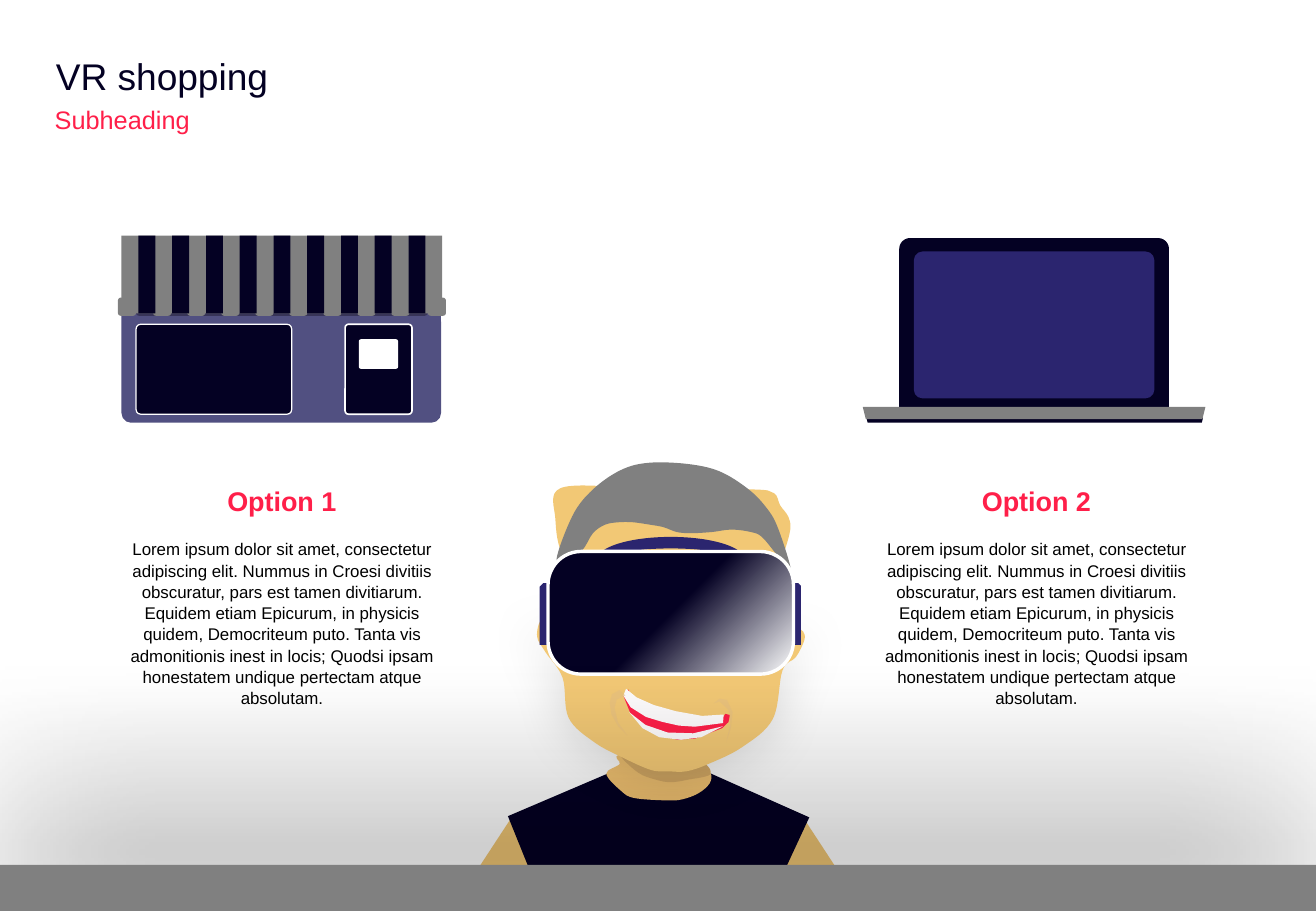
from lxml.etree import SubElement
from pptx import Presentation
from pptx.dml.color import RGBColor
from pptx.enum.shapes import MSO_SHAPE
from pptx.enum.text import MSO_ANCHOR, PP_ALIGN
from pptx.oxml.ns import qn
from pptx.util import Inches, Pt

NAVY = RGBColor(0x04, 0x01, 0x23)
INDIGO = RGBColor(0x2B, 0x25, 0x6F)
WALL = RGBColor(0x51, 0x50, 0x81)
SHADE = RGBColor(0x38, 0x35, 0x58)
GREY = RGBColor(0x80, 0x80, 0x80)
RED = RGBColor(0xFF, 0x1F, 0x49)
WHITE = RGBColor(0xFF, 0xFF, 0xFF)
BLACK = RGBColor(0, 0, 0)
TEETH = RGBColor(0xFE, 0xFC, 0xFD)
SKIN = RGBColor(0xF2, 0xC8, 0x75)
ARM = RGBColor(0xF0, 0xC6, 0x74)
NECK = RGBColor(0xF6, 0xC6, 0x74)
CHIN = RGBColor(0xDA, 0xAE, 0x68)
CREASE = RGBColor(0xE7, 0xC0, 0x82)

RECT, ROUND = MSO_SHAPE.RECTANGLE, MSO_SHAPE.ROUNDED_RECTANGLE
TITLE = {"name": "Arial", "size": Pt(22)}
SUB = {"name": "Arial", "size": Pt(15)}
HEAD = {"name": "Arial", "size": Pt(16), "bold": True}
BODY = {"name": "Arial", "size": Pt(10)}
LOREM = ("Lorem ipsum dolor sit amet, consectetur adipiscing elit. Nummus in Croesi "
         "divitiis obscuratur, pars est tamen divitiarum. Equidem etiam Epicurum, in "
         "physicis quidem, Democriteum puto. Tanta vis admonitionis inest in locis; "
         "Quodsi ipsam honestatem undique pertectam atque absolutam.")

# Outlines as anchor points in inches
SHIRT = [(4.18, 6.72), (4.41, 7.29), (6.4, 7.29), (6.66, 6.73), (5.83, 6.36), (5, 6.37)]
THROAT = [(5.12, 6.21), (5.1, 6.29), (4.99, 6.37), (5.11, 6.51), (5.22, 6.57), (5.49, 6.59),
          (5.62, 6.58), (5.75, 6.53), (5.84, 6.45), (5.85, 6.37), (5.78, 6.33), (5.76, 6.19)]
UNDER = [(5.11, 6.21), (5.25, 6.36), (5.4, 6.42), (5.52, 6.44), (5.66, 6.42), (5.85, 6.37),
         (5.73, 6.25), (5.38, 6.26)]
SKULL = [(6.46, 5.02), (6.5, 4.77), (6.42, 4.44), (6.08, 4.15), (5.61, 4.18), (5.2, 4.01),
         (4.92, 4.12), (4.79, 4.21), (4.65, 4.42), (4.57, 4.66), (4.58, 4.78), (4.65, 4.88),
         (4.7, 4.98), (4.86, 5.01), (5.38, 5), (5.92, 5.03)]
FACE = [(4.46, 5.11), (4.42, 5.24), (4.49, 5.37), (4.63, 5.58), (4.68, 5.91), (4.89, 6.11),
        (5.13, 6.24), (5.36, 6.34), (5.5, 6.35), (5.65, 6.35), (5.83, 6.29), (6.11, 6.15),
        (6.36, 5.92), (6.44, 5.52), (6.55, 5.41), (6.62, 5.27), (6.61, 5.2), (6.56, 5.19),
        (6.49, 5.32), (6.14, 5.41), (4.8, 5.4), (4.57, 5.29)]
HAIR = [(4.78, 4.54), (4.88, 4.39), (4.98, 4.32), (5.09, 4.3), (5.21, 4.3), (5.35, 4.32),
        (5.46, 4.34), (5.57, 4.38), (5.69, 4.39), (5.86, 4.38), (6.02, 4.36), (6.18, 4.38),
        (6.27, 4.42), (6.38, 4.55), (6.51, 4.7), (6.4, 4.34), (6.3, 4.17), (6.15, 4.02),
        (5.92, 3.88), (5.66, 3.82), (5.34, 3.81), (5.11, 3.87), (4.88, 4.03), (4.71, 4.25),
        (4.58, 4.63)]
LIPS = [(5.1, 5.82), (5.18, 5.94), (5.3, 6.03), (5.4, 6.07), (5.61, 6.08), (5.75, 6.04),
        (5.95, 5.91), (5.99, 5.85), (5.99, 5.79), (5.95, 5.79), (5.93, 5.85), (5.72, 5.89),
        (5.58, 5.93), (5.35, 5.92), (5.18, 5.87), (5.13, 5.76)]
UPPER = [(5.12, 5.76), (5.22, 5.81), (5.37, 5.84), (5.56, 5.85), (5.78, 5.84), (5.95, 5.79),
         (5.96, 5.86), (5.74, 5.94), (5.61, 5.96), (5.47, 5.96), (5.33, 5.95), (5.19, 5.9),
         (5.11, 5.82)]
LOWER = [(5.16, 5.93), (5.31, 6.01), (5.5, 6.04), (5.71, 6.01), (5.94, 5.91), (5.78, 6.03),
         (5.62, 6.08), (5.44, 6.09), (5.29, 6.04)]
LEFT = [(5.11, 5.72), (5.05, 5.69), (5, 5.74), (5, 5.81), (5.04, 5.9), (5.12, 5.98),
        (5.21, 6.03), (5.11, 5.95), (5.05, 5.84), (5.05, 5.77)]
RIGHT = [(5.95, 5.76), (6.01, 5.75), (6.06, 5.79), (6.05, 5.9), (5.97, 6.01), (5.88, 6.09),
         (5.99, 5.97), (6.03, 5.87), (6, 5.77)]


def paint(shape, fill, turn=0, line=0):
    shape.shadow.inherit = False
    shape.rotation = turn
    shape.fill.solid()
    shape.fill.fore_color.rgb = fill
    if line:
        shape.line.color.rgb = WHITE
        shape.line.width = Pt(line)
    else:
        shape.line.fill.background()
    return shape


def block(shapes, kind, box, fill, adj=(), **look):
    shape = shapes.add_shape(kind, *map(Inches, box))
    for i, value in enumerate(adj):
        shape.adjustments[i] = value
    return paint(shape, fill, **look)


def outline(shapes, points, fill, turn=0):
    spots = [(Inches(x), Inches(y)) for x, y in points]
    pen = shapes.build_freeform(*spots[0])
    pen.add_line_segments(spots[1:])
    return paint(pen.convert_to_shape(), fill, turn)


def bend(shape):
    """Turn the straight sides of an outline into one smooth curve."""
    route = next(shape._element.iter(qn("a:path")))
    spots = [(int(p.get("x")), int(p.get("y"))) for p in route.iter(qn("a:pt"))]
    for side in route.findall(qn("a:lnTo")):
        route.remove(side)
    count = len(spots)
    for i in range(count):
        a, b, c, d = (spots[(i + k) % count] for k in (-1, 0, 1, 2))
        first = [q + (r - p) / 6 for p, q, r in zip(a, b, c)]
        second = [q - (r - p) / 6 for p, q, r in zip(b, c, d)]
        curve = SubElement(route, qn("a:cubicBezTo"))
        for x, y in (first, second, c):
            SubElement(curve, qn("a:pt"), x=str(round(x)), y=str(round(y)))
    route.append(route.find(qn("a:close")))
    return shape


def fade(color, part):
    SubElement(color, qn("a:alpha"), val=str(part * 1000))


def shadow(shape, part, blur, dist, angle):
    effects = shape._element.spPr.find(qn("a:effectLst"))
    outer = SubElement(effects, qn("a:outerShdw"), blurRad=str(Pt(blur)), dist=str(Pt(dist)),
                       dir=str(angle * 60000), rotWithShape="0")
    fade(SubElement(outer, qn("a:srgbClr"), val=str(BLACK)), part)


def shine(shape):
    shape.fill.gradient()
    for stop, color, place in zip(shape.fill.gradient_stops, (WHITE, NAVY), (0, 0.5)):
        stop.color.rgb, stop.position = color, place
    grad = shape._element.spPr.find(qn("a:gradFill"))
    grad.remove(grad.find(qn("a:lin")))
    way = SubElement(grad, qn("a:path"), {"path": "circle"})
    SubElement(way, qn("a:fillToRect"), l="100000", t="100000")
    SubElement(grad, qn("a:tileRect"), r="-100000", b="-100000")


def write(shape, text, font, color, align=PP_ALIGN.LEFT, space=1.0, inset=None):
    frame = shape.text_frame
    frame.word_wrap, frame.vertical_anchor = True, MSO_ANCHOR.TOP
    if inset is not None:
        for side in ("left", "top", "right", "bottom"):
            setattr(frame, "margin_" + side, inset)
    para = frame.paragraphs[0]
    para.text, para.alignment, para.line_spacing = text, align, space
    para.space_before = Pt(0)
    for key, value in font.items():
        setattr(para.font, key, value)
    para.font.color.rgb = color


def label(shapes, box, *args, **look):
    write(shapes.add_textbox(*map(Inches, box)), *args, **look)


def person(shapes):
    # Body
    for x, turn in ((3.62, 303.2), (6.15, 56.8)):
        block(shapes, RECT, (x, 7.04, 1.05, 0.51), ARM, turn=turn)
    outline(shapes, SHIRT, NAVY)
    bend(outline(shapes, THROAT, NECK))
    bend(outline(shapes, UNDER, CHIN))
    # Head
    bend(outline(shapes, SKULL, SKIN, 180))
    shadow(bend(outline(shapes, FACE, SKIN)), 15, 32, 2, 90)
    bend(outline(shapes, HAIR, GREY))
    # Headset straps
    for x, cut in ((6.48, 0.2), (4.44, 0.28)):
        block(shapes, MSO_SHAPE.SNIP_2_SAME_RECTANGLE, (x, 4.8, 0.11, 0.51), INDIGO, (cut, 0))
    block(shapes, MSO_SHAPE.BLOCK_ARC, (4.91, 4.42, 1.22, 0.38), INDIGO)
    # Mouth
    for points, fill, turn in ((LIPS, RED, 12.1), (UPPER, TEETH, 12.7), (LOWER, TEETH, 10)):
        outline(shapes, points, fill, turn)
    for points, turn in ((LEFT, 15.5), (RIGHT, 330.3)):
        crease = outline(shapes, points, CREASE, turn)
        fade(crease._element.spPr.find(qn("a:solidFill"))[0], 55)
    # Visor
    shine(block(shapes, ROUND, (4.51, 4.54, 2.02, 1.01), NAVY, (0.27,), line=2))


def shop(shapes):
    block(shapes, ROUND, (1, 2.49, 2.63, 0.99), WALL, (0.08,))
    # Awning
    block(shapes, ROUND, (1.12, 2.45, 2.4, 0.15), SHADE)
    for x in (0.97, 3.52):
        block(shapes, ROUND, (x, 2.45, 0.15, 0.15), GREY)
    for i in range(8):
        block(shapes, ROUND, (1.26 + i * 0.28, 2.39, 0.15, 0.21), GREY)
    block(shapes, RECT, (1, 1.94, 2.64, 0.64), GREY)
    for i in range(9):
        block(shapes, RECT, (1.14 + i * 2.5 / 9, 1.94, 0.14, 0.64), NAVY)
    # Window and door
    block(shapes, ROUND, (1.12, 2.67, 1.28, 0.74), NAVY, (0.05,), line=0.75)
    block(shapes, ROUND, (2.84, 2.67, 0.55, 0.74), NAVY, (0.05,), line=1)
    block(shapes, ROUND, (2.96, 2.8, 0.31, 0.23), WHITE, (0.05,), line=1)


def laptop(shapes):
    block(shapes, MSO_SHAPE.TRAPEZOID, (7.13, 3.44, 2.77, 0.04), NAVY, turn=180)
    block(shapes, ROUND, (7.4, 1.96, 2.22, 1.48), NAVY, (0.06,))
    block(shapes, ROUND, (7.52, 2.07, 1.98, 1.21), INDIGO, (0.06,))
    block(shapes, MSO_SHAPE.TRAPEZOID, (7.1, 3.35, 2.82, 0.1), GREY, turn=180)


def main():
    deck = Presentation()
    deck.slide_width, deck.slide_height = Inches(10.83), Inches(7.5)
    shapes = deck.slides.add_slide(deck.slide_layouts[5]).shapes
    person(shapes)
    shadow(block(shapes, RECT, (0, 7.12, 10.83, 0.38), GREY), 76, 100, 22, 270)
    shop(shapes)
    laptop(shapes)
    # Options
    for x, name in ((0.84, "Option 1"), (7.05, "Option 2")):
        label(shapes, (x, 4.38, 2.96, 1.45), LOREM, BODY, BLACK, PP_ALIGN.CENTER, 1.05)
        label(shapes, (x + 0.61, 3.94, 1.74, 0.39), name, HEAD, RED, PP_ALIGN.CENTER)
    # Headings
    title = shapes.title
    for key, value in {"left": 0.46, "top": 0.44, "width": 9.92, "height": 0.37}.items():
        setattr(title, key, Inches(value))
    write(title, "VR shopping", TITLE, NAVY, inset=0)
    label(shapes, (0.45, 0.81, 3.55, 0.28), "Subheading", SUB, RED, space=1.2, inset=0)
    deck.save("out.pptx")


if __name__ == "__main__":
    main()
